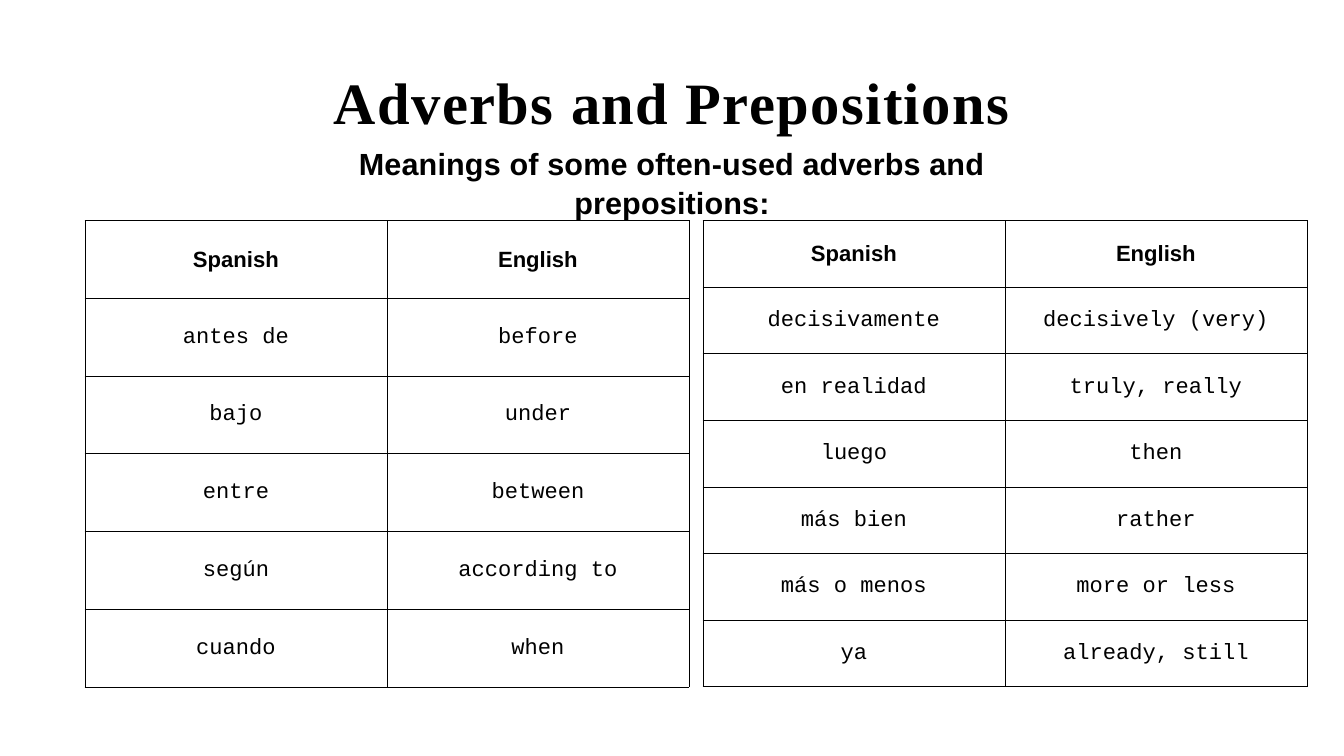
from lxml import etree
from pptx import Presentation
from pptx.dml.color import RGBColor
from pptx.enum import text
from pptx.oxml import ns
from pptx.util import Cm, Pt

theme = {
    "ink": RGBColor(0, 0, 0),
    "title": ("Times New Roman", 69, True),
    "subtitle": ("Arial", 36, True),
    "header": ("Arial", 26, True),
    "word": ("Courier New", 26, False),
}

vocabularies = [
    (3.53, [
        ("Spanish", "English"),
        ("antes de", "before"),
        ("bajo", "under"),
        ("entre", "between"),
        ("según", "according to"),
        ("cuando", "when"),
    ]),
    (29.21, [
        ("Spanish", "English"),
        ("decisivamente", "decisively (very)"),
        ("en realidad", "truly, really"),
        ("luego", "then"),
        ("más bien", "rather"),
        ("más o menos", "more or less"),
        ("ya", "already, still"),
    ]),
]


def write(paragraph, words, role, spacing=0):
    run = paragraph.add_run()
    run.text = words
    if spacing:
        run._r.get_or_add_rPr().set("spc", str(spacing))
    paragraph.alignment = text.PP_ALIGN.CENTER
    font = paragraph.font
    font.name, size, font.bold = theme[role]
    font.size = Pt(size)
    font.color.rgb = theme["ink"]


def add_borders(cell):
    properties = cell._tc.get_or_add_tcPr()
    for side in ("lnL", "lnR", "lnT", "lnB"):
        line = etree.SubElement(properties, ns.qn(f"a:{side}"), w=str(Pt(1)))
        fill = etree.SubElement(line, ns.qn("a:solidFill"))
        etree.SubElement(fill, ns.qn("a:srgbClr"), val=str(theme["ink"]))


deck = Presentation()
deck.slide_width, deck.slide_height = Cm(55.85), Cm(31.42)
slide = deck.slides.add_slide(deck.slide_layouts[6])

heading = slide.shapes.add_textbox(Cm(10.85), Cm(1.63), Cm(34.16), Cm(5.64)).text_frame
heading.word_wrap = True
heading.margin_left = heading.margin_right = heading.margin_bottom = 0
heading.margin_top = Cm(1.1)
write(heading.paragraphs[0], "Adverbs and Prepositions", "title", 170)
subtitle = heading.add_paragraph()
subtitle.space_before = Pt(9)
subtitle.line_spacing = 1.05
write(subtitle, "Meanings of some often-used adverbs and prepositions:", "subtitle", 20)

table_height = 19.38
for left, pairs in vocabularies:
    vocabulary = slide.shapes.add_table(
        len(pairs), 2, Cm(left), Cm(9.17), Cm(25.1), Cm(table_height)
    ).table
    vocabulary.first_row = vocabulary.horz_banding = False
    for row, pair in enumerate(pairs):
        vocabulary.rows[row].height = Cm(table_height / len(pairs))
        for column, words in enumerate(pair):
            cell = vocabulary.cell(row, column)
            cell.margin_left = cell.margin_right = 0
            cell.margin_top = cell.margin_bottom = 0
            cell.vertical_anchor = text.MSO_ANCHOR.MIDDLE
            add_borders(cell)
            cell.fill.background()
            write(cell.text_frame.paragraphs[0], words, "word" if row else "header")

deck.save("out.pptx")
